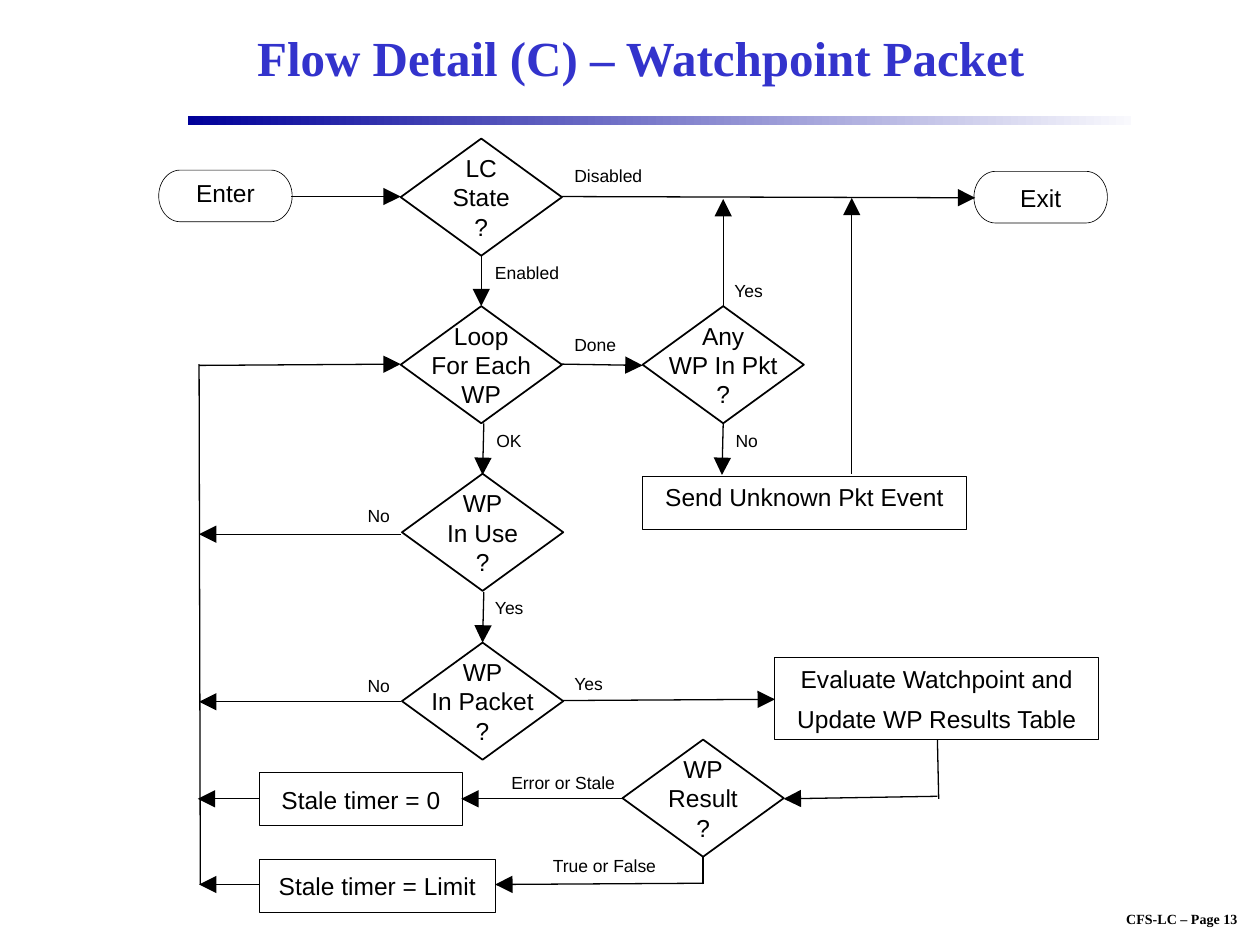
"""Build the watchpoint packet flow chart slide."""
from lxml.etree import SubElement
from pptx import Presentation
from pptx.dml.color import RGBColor
from pptx.enum.shapes import MSO_CONNECTOR, MSO_SHAPE
from pptx.enum.text import MSO_ANCHOR, PP_ALIGN
from pptx.oxml.ns import qn
from pptx.util import Inches, Pt

COLORS = {"ink": "000000", "title": "3333CC", "navy": "000099", "pale": "F9F9FD"}


def write(shape, text, size, color="ink", face="Arial", bold=False,
          align=PP_ALIGN.CENTER, wrap=False, gap=0):
    frame = shape.text_frame
    frame.text = text
    frame.word_wrap = wrap
    for i, para in enumerate(frame.paragraphs):
        para.alignment = align
        para.space_before = Pt(gap if i else 0)
        font = para.font
        font.size, font.name, font.bold = Pt(size), face, bold
        font.color.rgb = RGBColor.from_string(COLORS[color])
    return frame


def outline(kind, box, width):
    shape = slide.shapes.add_shape(kind, *map(Inches, box))
    shape.shadow.inherit = False
    shape.fill.background()
    shape.line.color.rgb = RGBColor.from_string(COLORS["ink"])
    shape.line.width = Pt(width)
    return shape


deck = Presentation()
deck.slide_width, deck.slide_height = Inches(10), Inches(7.5)
slide = deck.slides.add_slide(deck.slide_layouts[5])

title = slide.shapes.title
title.left, title.top = Inches(1.5), Inches(0.08)
title.width, title.height = Inches(7.17), Inches(0.75)
frame = write(title, "Flow Detail (C) – Watchpoint Packet", 28, "title",
              "Times New Roman", True, wrap=True)
frame.vertical_anchor = MSO_ANCHOR.MIDDLE

bar = outline(MSO_SHAPE.RECTANGLE, (1.49, 0.92, 7.49, 0.07), 1)
bar.line.fill.background()
bar.fill.gradient()
bar.fill.gradient_angle = 0
for stop, name in zip(bar.fill.gradient_stops, ("navy", "pale")):
    stop.color.rgb = RGBColor.from_string(COLORS[name])

foot = slide.shapes.add_textbox(Inches(8.64), Inches(7.18), Inches(1.48), Inches(0.23))
write(foot, "CFS-LC – Page 13", 8, face="Times New Roman", bold=True)

arrows = [
    (2.31, 1.56, 3.18, 1.56), (4.46, 1.56, 7.74, 1.57),
    (3.82, 2.03, 3.82, 2.43), (5.74, 2.43, 5.74, 1.58),
    (4.46, 2.89, 5.1, 2.9), (1.58, 2.9, 3.18, 2.89),
    (3.84, 3.36, 3.83, 3.77), (5.74, 3.36, 5.73, 3.77),
    (6.76, 3.76, 6.76, 1.57), (3.18, 4.24, 1.58, 4.24),
    (3.84, 4.7, 3.83, 5.1), (3.18, 5.57, 1.58, 5.57),
    (4.47, 5.56, 6.15, 5.55), (7.44, 6.32, 6.22, 6.34),
    (4.94, 6.34, 3.66, 6.34), (2.06, 6.34, 1.57, 6.34),
    (5.58, 7.01, 3.93, 7.02), (2.06, 7.02, 1.58, 7.02),
]
plain = [(1.59, 7.02, 1.58, 2.89), (7.45, 6.34, 7.44, 5.87), (5.58, 7.02, 5.58, 6.8)]
for ends in arrows + plain:
    link = slide.shapes.add_connector(MSO_CONNECTOR.STRAIGHT, *map(Inches, ends))
    link.line.color.rgb = RGBColor.from_string(COLORS["ink"])
    link.line.width = Pt(0.75)
    if ends in arrows:
        SubElement(link.line._get_or_add_ln(), qn("a:tailEnd"),
                   type="triangle", w="lg", len="lg")
    SubElement(link._element.spPr, qn("a:effectLst"))

tests = [
    (3.18, 1.1, "LC\nState\n?"), (3.18, 2.43, "Loop\nFor Each\nWP"),
    (5.1, 2.43, "Any\nWP In Pkt\n?"), (3.19, 3.76, "WP\nIn Use\n?"),
    (3.19, 5.1, "WP\nIn Packet\n?"), (4.94, 5.87, "WP\nResult\n?"),
]
for left, top, text in tests:
    shape = outline(MSO_SHAPE.DIAMOND, (left, top, 1.28, 0.93), 1)
    frame = write(shape, text, 14)
    frame.vertical_anchor = MSO_ANCHOR.MIDDLE
    frame.margin_left = frame.margin_right = 0
    frame.margin_top = frame.margin_bottom = 0

END, STEP = MSO_SHAPE.FLOWCHART_TERMINATOR, MSO_SHAPE.RECTANGLE
steps = [
    (END, (1.26, 1.35, 1.06, 0.41), 0, "Enter"),
    (END, (7.73, 1.36, 1.06, 0.41), 0.03, "Exit"),
    (STEP, (5.1, 3.78, 2.57, 0.42), 0.05, "Send Unknown Pkt Event"),
    (STEP, (6.15, 5.22, 2.57, 0.65), 0.05,
     "Evaluate Watchpoint and\nUpdate WP Results Table"),
    (STEP, (2.06, 6.13, 1.61, 0.42), 0.1, "Stale timer = 0"),
    (STEP, (2.06, 6.82, 1.87, 0.42), 0.09, "Stale timer = Limit"),
]
for kind, box, inset, text in steps:
    shape = outline(kind, box, 0.37 if kind == END else 0.5)
    frame = write(shape, text, 14, gap=6.1)
    frame.vertical_anchor = MSO_ANCHOR.TOP
    frame.margin_top, frame.margin_bottom = Inches(inset), 0

labels = [
    (4.46, 1.26, 0.75, "Disabled"), (3.83, 2.03, 0.72, "Enabled"),
    (4.46, 2.6, 0.55, "Done"), (5.73, 2.17, 0.45, "Yes"),
    (3.84, 3.36, 0.42, "OK"), (5.74, 3.36, 0.4, "No"),
    (2.82, 3.96, 0.4, "No"), (3.83, 4.69, 0.45, "Yes"),
    (2.82, 5.31, 0.4, "No"), (4.46, 5.29, 0.45, "Yes"),
    (3.96, 6.08, 1.04, "Error or Stale"), (4.29, 6.74, 1.04, "True or False"),
]
for left, top, width, text in labels:
    label = slide.shapes.add_textbox(Inches(left), Inches(top), Inches(width), Inches(0.27))
    write(label, text, 10, align=PP_ALIGN.LEFT)

deck.save("out.pptx")
